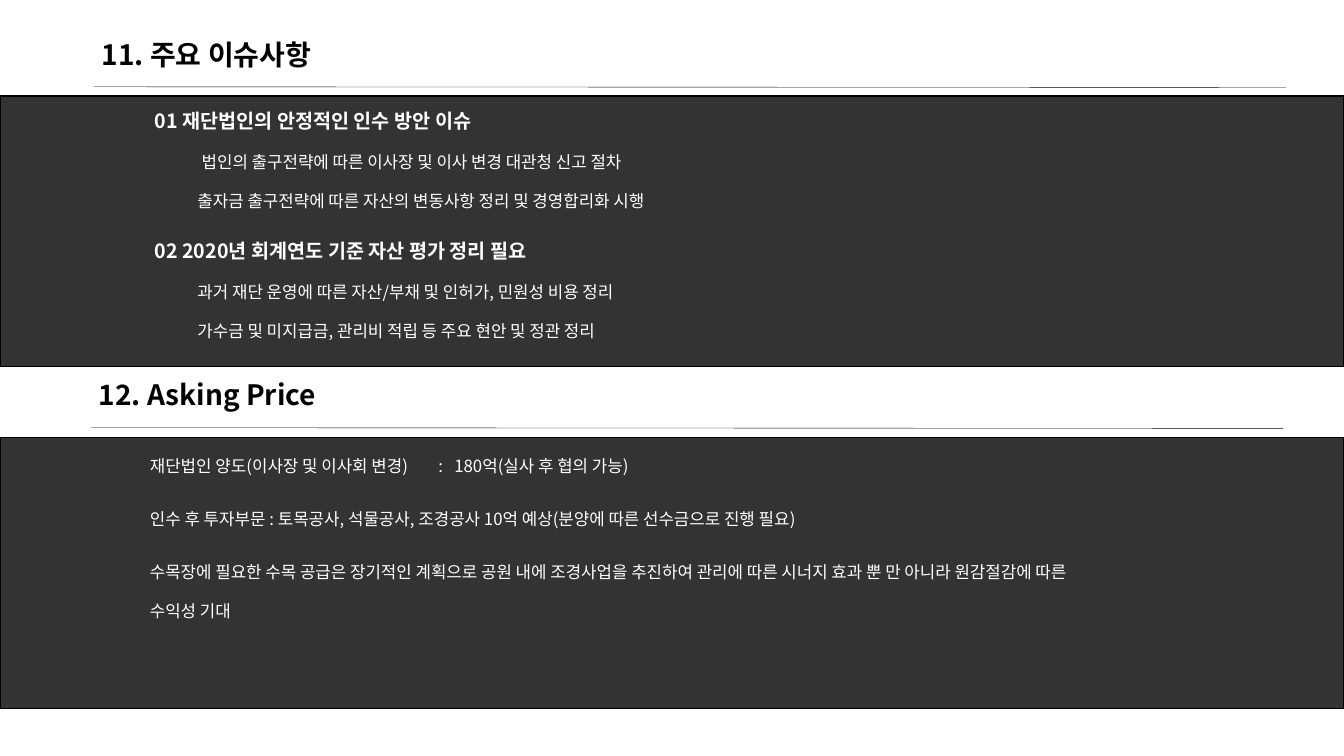
from lxml.etree import SubElement
from pptx import Presentation
from pptx.dml.color import RGBColor
from pptx.enum.shapes import MSO_CONNECTOR as Connector, MSO_SHAPE as Shape
from pptx.enum.text import MSO_ANCHOR as Anchor
from pptx.oxml.ns import qn
from pptx.util import Pt


def color(value):
    return RGBColor.from_string(value)


class IssueSlide:
    font = "Noto Sans CJK KR"
    ink = "000000"
    paper = "FFFFFF"

    def __init__(self, deck):
        self.slide = deck.slides.add_slide(deck.slide_layouts[6])
        self.shapes = self.slide.shapes
        background = self.slide.background.fill
        background.solid()
        background.fore_color.rgb = color(self.paper)

    def band(self, top, height=193.5):
        band = self.shapes.add_shape(Shape.RECTANGLE, 0, Pt(top), Pt(960), Pt(height))
        band.shadow.inherit = False
        band.fill.solid()
        band.fill.fore_color.rgb = color(self.ink)
        tint = band.fill._xPr.find(qn("a:solidFill"))[0]
        SubElement(tint, qn("a:alpha"), val="80000")
        band.line.color.rgb = color(self.ink)
        band.line.width = Pt(1)

    def rule(self, left, top, width=851.5):
        rule = self.shapes.add_connector(
            Connector.STRAIGHT, Pt(left), Pt(top), Pt(left + width), Pt(top + 0.5))
        rule.line.color.rgb = color(self.ink)
        rule.line.width = Pt(0.25)
        SubElement(rule._element.spPr, qn("a:effectLst"))

    def text(self, *lines, left, top, width, height=38, size=12, bold=False,
             ink=paper, spacing=1.26, anchor=Anchor.TOP, tabs=()):
        frame = self.shapes.add_textbox(Pt(left), Pt(top), Pt(width), Pt(height)).text_frame
        frame.word_wrap = True
        frame.vertical_anchor = anchor
        for index, line in enumerate(lines):
            paragraph = frame.add_paragraph() if index else frame.paragraphs[0]
            paragraph.line_spacing = spacing
            if index:
                paragraph.space_before = Pt(10)
            if tabs:
                stops = SubElement(paragraph._p.get_or_add_pPr(), qn("a:tabLst"))
                for stop in tabs:
                    SubElement(stops, qn("a:tab"), pos=str(Pt(stop)), algn="l")
            run = paragraph.add_run()
            run.text = line
            run.font.name = self.font
            run.font.size = Pt(size)
            run.font.bold = bold
            run.font.color.rgb = color(ink)
            SubElement(run.font._element, qn("a:ea"), typeface=self.font)

    def title(self, title, left, top):
        self.text(title, left=left, top=top, width=859, height=31, size=20, bold=True,
                  ink=self.ink, spacing=0.9, anchor=Anchor.MIDDLE)

    def issue(self, top, heading, *details):
        self.text(heading, left=103.5, top=top, width=479.5, size=14, bold=True)
        for index, (detail, left, width) in enumerate(details):
            self.text(detail, left=left, top=top + 31 + 28 * index, width=width)


def main():
    deck = Presentation()
    deck.slide_width, deck.slide_height = Pt(960), Pt(540)
    page = IssueSlide(deck)

    # Dark bands behind both sections
    for band_top in (312.5, 68.5):
        page.band(band_top)

    # Section 11: main issues
    page.title("11. 주요 이슈사항", 65.5, 24.5)
    page.rule(67, 62)
    page.issue(70, "01 재단법인의 안정적인 인수 방안 이슈",
               ("법인의 출구전략에 따른 이사장 및 이사 변경 대관청 신고 절차", 137, 445.5),
               ("출자금 출구전략에 따른 자산의 변동사항 정리 및 경영합리화 시행", 134, 556.5))
    page.issue(163, "02 2020년 회계연도 기준 자산 평가 정리 필요",
               ("과거 재단 운영에 따른 자산/부채 및 인허가, 민원성 비용 정리", 134, 607),
               ("가수금 및 미지급금, 관리비 적립 등 주요 현안 및 정관 정리", 134, 448.5))

    # Section 12: asking price
    page.title("12. Asking Price", 63.5, 268)
    page.rule(65, 305.5)
    page.text("재단법인 양도(이사장 및 이사회 변경)\t:\t180억(실사 후 협의 가능)",
              left=100, top=318, width=756.5, tabs=(206, 217.5))
    page.text("인수 후 투자부문 : 토목공사, 석물공사, 조경공사 10억 예상"
              "(분양에 따른 선수금으로 진행 필요)", left=100, top=356, width=816.5)
    page.text("수목장에 필요한 수목 공급은 장기적인 계획으로 공원 내에 조경사업을 추진하여 "
              "관리에 따른 시너지 효과 뿐 만 아니라 원감절감에 따른",
              "수익성 기대", left=100, top=394, width=825, height=65.5)

    deck.save("out.pptx")


if __name__ == "__main__":
    main()
